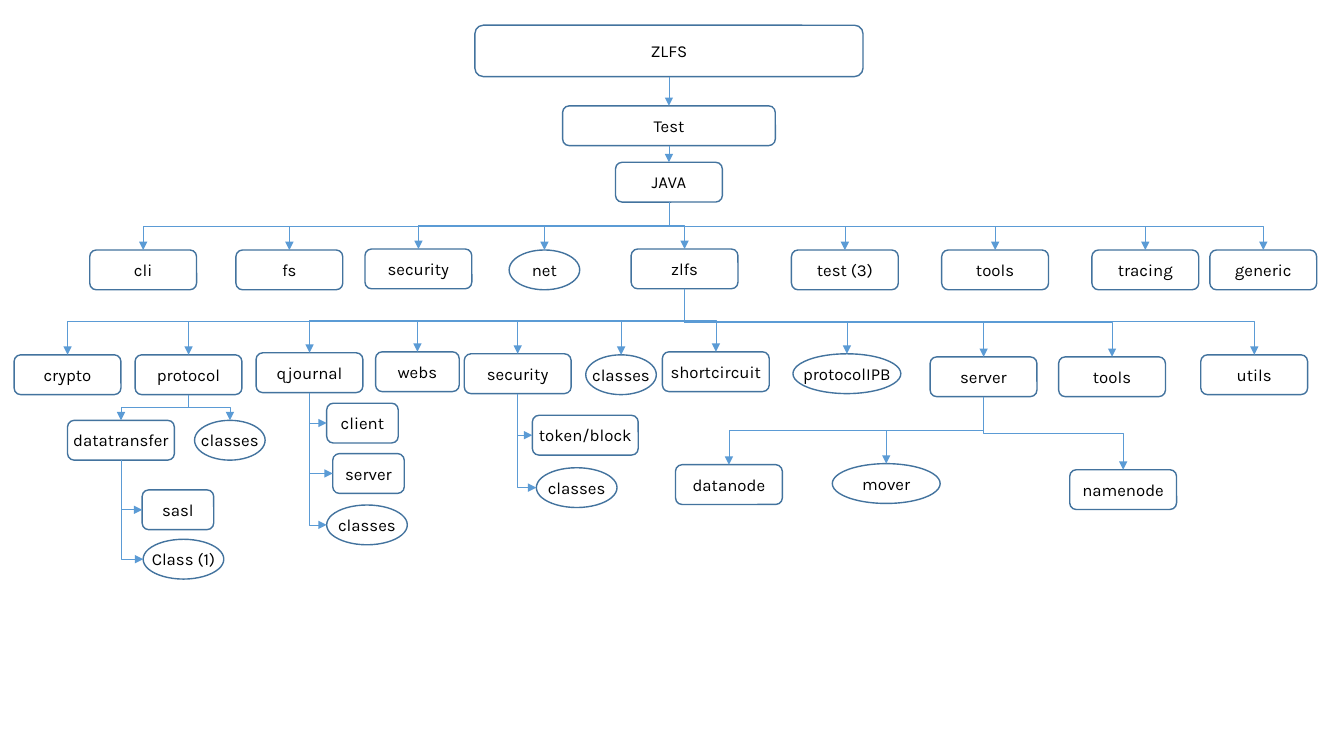
"""Draw the package tree of the ZLFS tests as one slide."""
from dataclasses import dataclass

from lxml.etree import SubElement
from pptx import Presentation
from pptx.dml.color import RGBColor
from pptx.enum.shapes import MSO_CONNECTOR, MSO_SHAPE
from pptx.enum.text import MSO_ANCHOR, PP_ALIGN
from pptx.oxml.ns import qn
from pptx.util import Inches, Pt

BOX = MSO_SHAPE.ROUNDED_RECTANGLE
OVAL = MSO_SHAPE.OVAL
STRAIGHT = MSO_CONNECTOR.STRAIGHT
ELBOW = MSO_CONNECTOR.ELBOW
MIDDLE = MSO_ANCHOR.MIDDLE
CENTER = PP_ALIGN.CENTER

BLACK = RGBColor(0x00, 0x00, 0x00)
OUTLINE = RGBColor(0x43, 0x73, 0x9E)
ARROW = RGBColor(0x5B, 0x9B, 0xD5)
FONT = "Karla"

SLIDE_WIDTH, SLIDE_HEIGHT = Inches(13.33), Inches(7.5)
COLUMN, ROW = SLIDE_WIDTH / 133.3, SLIDE_HEIGHT / 75
TOP_SITE, BOTTOM_SITE = 0, 2
LEFT_SITES = {BOX: 1, OVAL: 2}
QUARTER_TURN, THREE_QUARTER_TURN = "5400000", "16200000"


@dataclass(frozen=True)
class Node:
    """A package or class group, with its centre column and top row."""
    name: str
    center: float
    top: float
    width: float = 10.6
    height: float = 3.95
    kind: int = BOX
    children: tuple["Node", ...] = ()
    stacked: bool = False
    wrap: bool = False


DATATRANSFER = Node("datatransfer", 12, 41.7, stacked=True, children=(
    Node("sasl", 17.65, 48.6, 7.1),
    Node("Class (1)", 18.2, 53.5, 8, kind=OVAL),
))
PROTOCOL = Node("protocol", 18.7, 35.2, children=(
    DATATRANSFER,
    Node("classes", 22.8, 41.7, 7, kind=OVAL),
))
QJOURNAL = Node("qjournal", 30.7, 35, stacked=True, children=(
    Node("client", 35.95, 40, 7.1),
    Node("server", 36.55, 45, 7.1),
    Node("classes", 36.4, 50.1, 8, kind=OVAL),
))
SECURITY = Node("security", 51.35, 35.1, stacked=True, children=(
    Node("token/block", 58.05, 41.2, 10.5),
    Node("classes", 57.2, 46.4, 8, kind=OVAL),
))
SERVER = Node("server", 97.55, 35.4, children=(
    Node("datanode", 72.3, 46.1),
    Node("mover", 87.9, 46, 10.7, kind=OVAL),
    Node("namenode", 111.4, 46.6),
))
ZLFS_PACKAGE = Node("zlfs", 67.9, 24.7, children=(
    Node("crypto", 6.7, 35.2),
    PROTOCOL,
    QJOURNAL,
    Node("webs", 41.4, 34.9, 8.3),
    SECURITY,
    Node("classes", 61.6, 35.2, 7, kind=OVAL),
    Node("shortcircuit", 71, 34.9),
    Node("protocolIPB", 84, 35.1, 10.7, kind=OVAL),
    SERVER,
    Node("tools", 110.3, 35.4),
    Node("utils", 124.4, 35.2),
))
JAVA = Node("JAVA", 66.35, 16.1, children=(
    Node("cli", 14.2, 24.8),
    Node("fs", 28.7, 24.8),
    Node("security", 41.5, 24.7),
    Node("net", 54, 24.8, 7, kind=OVAL),
    ZLFS_PACKAGE,
    Node("test (3)", 83.8, 24.8),
    Node("tools", 98.7, 24.8),
    Node("tracing", 113.6, 24.8),
    Node("generic", 125.3, 24.8),
))
TEST = Node("Test", 66.35, 10.5, 21.1, children=(JAVA,))
ROOT = Node("ZLFS", 66.35, 2.5, 38.5, 5.1, children=(TEST,), wrap=True)


def write_text(shape, text: str, *, size: float = 12, color: RGBColor = BLACK,
               wrap: bool = False) -> None:
    """Write one centred line into a shape."""
    frame = shape.text_frame
    frame.word_wrap = wrap
    frame.vertical_anchor = MIDDLE
    paragraph = frame.paragraphs[0]
    paragraph.alignment = CENTER
    run = paragraph.add_run()
    run.text = text
    run.font.name = FONT
    run.font.size = Pt(size)
    run.font.color.rgb = color


def draw_node(shapes, node: Node):
    """Draw the outlined shape of one node and return it."""
    left = (node.center - node.width / 2) * COLUMN
    shape = shapes.add_shape(node.kind, round(left), round(node.top * ROW),
                             round(node.width * COLUMN), round(node.height * ROW))
    shape.shadow.inherit = False
    shape.fill.background()
    shape.line.color.rgb = OUTLINE
    shape.line.width = Pt(1)
    write_text(shape, node.name, wrap=node.wrap)
    return shape


def bend(connector, start: tuple[int, int], end: tuple[int, int], stacked: bool) -> None:
    """Turn an elbow so that it leaves its parent downwards."""
    across, down = abs(end[0] - start[0]), end[1] - start[1]
    connector.left = (start[0] + end[0] - down) // 2
    connector.top = (start[1] + end[1] - across) // 2
    connector.width, connector.height = down, across
    properties = connector._element.spPr
    transform = properties.find(qn("a:xfrm"))
    transform.attrib.clear()
    if end[0] < start[0]:
        transform.set("rot", QUARTER_TURN)
    else:
        transform.set("rot", THREE_QUARTER_TURN)
        transform.set("flipH", "1")
    if stacked:
        properties.find(qn("a:prstGeom")).set("prst", "bentConnector2")


def draw_arrow(shapes, parent, child, child_kind: int, stacked: bool) -> None:
    """Link the bottom of a parent to the top or left of its child."""
    start = (parent.left + parent.width // 2, parent.top + parent.height)
    if stacked:
        end = (child.left, child.top + child.height // 2)
        site = LEFT_SITES[child_kind]
    else:
        end = (child.left + child.width // 2, child.top)
        site = TOP_SITE
    is_straight = abs(start[0] - end[0]) < COLUMN / 10
    connector = shapes.add_connector(STRAIGHT if is_straight else ELBOW, *start, *end)
    connector.begin_connect(parent, BOTTOM_SITE)
    connector.end_connect(child, site)
    if not is_straight:
        bend(connector, start, end, stacked)
    connector.line.color.rgb = ARROW
    connector.line.width = Pt(0.5)
    SubElement(connector.line._get_or_add_ln(), qn("a:tailEnd"), type="triangle")
    SubElement(connector._element.spPr, qn("a:effectLst"))


def draw_tree(shapes, node: Node):
    """Draw a node with everything below it and return its shape."""
    parent = draw_node(shapes, node)
    for child in node.children:
        draw_arrow(shapes, parent, draw_tree(shapes, child), child.kind, node.stacked)
    return parent


presentation = Presentation()
presentation.slide_width, presentation.slide_height = SLIDE_WIDTH, SLIDE_HEIGHT
slide = presentation.slides.add_slide(presentation.slide_layouts[6])
draw_tree(slide.shapes, ROOT)
presentation.save("out.pptx")
